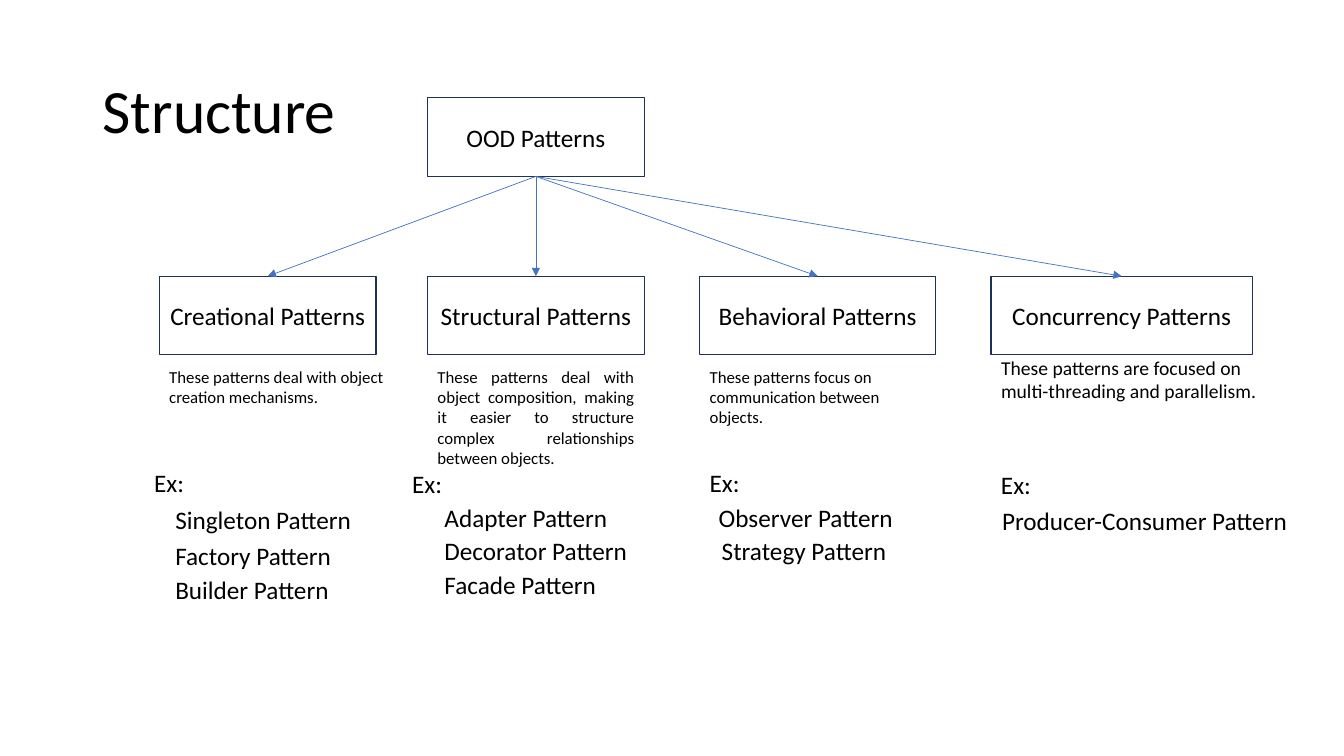
from dataclasses import dataclass

from lxml.etree import SubElement
from pptx import Presentation
from pptx.dml.color import RGBColor
from pptx.enum.shapes import MSO_CONNECTOR as Connector, MSO_SHAPE as Preset
from pptx.enum.text import MSO_ANCHOR as Anchor, PP_ALIGN as Align
from pptx.oxml.ns import qn
from pptx.util import Pt

PX = 9144
BLACK = "000000"
NAVY = "1E3256"
BLUE = "4472C4"
BOX_HEIGHT = 78
ROOT_TOP = 97
FAMILY_TOP = 274


@dataclass
class Family:
    name: str
    left: int
    width: int
    note: str
    note_box: tuple
    example_label: tuple
    examples: list
    note_size: int = 12
    note_align: Align = Align.LEFT


FAMILIES = [
    Family("Creational Patterns", 158, 215,
           "These patterns deal with object creation mechanisms.",
           (359, 233, 50), (143, 459),
           [("Singleton Pattern", 164, 495), ("Factory Pattern", 164, 531),
            ("Builder Pattern", 164, 565)]),
    Family("Structural Patterns", 424, 215,
           "These patterns deal with object composition, making it easier "
           "to structure complex relationships between objects.",
           (359, 215, 111), (399, 460),
           [("Adapter Pattern", 431, 493), ("Decorator Pattern", 431, 526),
            ("Facade Pattern", 431, 560)],
           note_align=Align.JUSTIFY),
    Family("Behavioral Patterns", 694, 234,
           "These patterns focus on communication between objects.",
           (359, 241, 71), (694, 459),
           [("Observer Pattern", 703, 493), ("Strategy Pattern", 706, 526)]),
    Family("Concurrency Patterns", 983, 259,
           "These patterns are focused on multi-threading and parallelism.",
           (348, 275, 57), (983, 461),
           [("Producer-Consumer Pattern", 984, 496)], note_size=14),
]


def px(*lengths):
    return [length * PX for length in lengths]


def color(value):
    return RGBColor.from_string(value)


def write(shape, text, size, align, anchor):
    frame = shape.text_frame
    frame.word_wrap = True
    frame.vertical_anchor = anchor
    paragraph = frame.paragraphs[0]
    paragraph.text = text
    paragraph.alignment = align
    paragraph.font.name = "Calibri"
    paragraph.font.size = Pt(size)
    paragraph.font.color.rgb = color(BLACK)
    return paragraph


def add_text(slide, text, left, top, width, height, size=18,
             align=Align.LEFT, anchor=Anchor.TOP):
    shape = slide.shapes.add_textbox(*px(left, top, width, height))
    return write(shape, text, size, align, anchor)


def add_box(slide, text, left, top, width):
    shape = slide.shapes.add_shape(
        Preset.RECTANGLE, *px(left, top, width, BOX_HEIGHT))
    shape.shadow.inherit = False
    shape.fill.background()
    shape.line.color.rgb = color(NAVY)
    shape.line.width = Pt(1)
    write(shape, text, 18, Align.CENTER, Anchor.MIDDLE)
    return shape


def add_arrow(slide, parent, child):
    arrow = slide.shapes.add_connector(Connector.STRAIGHT, 0, 0, 0, 0)
    arrow.begin_connect(parent, 2)
    arrow.end_connect(child, 0)
    arrow.line.color.rgb = color(BLUE)
    arrow.line.width = Pt(0.5)
    SubElement(arrow.line._get_or_add_ln(), qn("a:tailEnd"), type="triangle")
    SubElement(arrow._element.spPr, qn("a:effectLst"))


def add_family(slide, family, root):
    box = add_box(slide, family.name, family.left, FAMILY_TOP, family.width)
    add_arrow(slide, root, box)
    add_text(slide, family.note, family.left, *family.note_box,
             size=family.note_size, align=family.note_align)
    add_text(slide, "Ex:", *family.example_label, 203, 40)
    for example, left, top in family.examples:
        width = 313 if len(example) > 20 else 208
        add_text(slide, example, left, top, width, 40)


def main():
    presentation = Presentation()
    presentation.slide_width, presentation.slide_height = px(1333, 750)
    slide = presentation.slides.add_slide(presentation.slide_layouts[6])
    title = add_text(slide, "Structure", 92, 40, 1150, 145, size=44,
                     anchor=Anchor.MIDDLE)
    title.line_spacing = 0.9
    root = add_box(slide, "OOD Patterns", 424, ROOT_TOP, 215)
    for family in FAMILIES:
        add_family(slide, family, root)
    presentation.save("out.pptx")


if __name__ == "__main__":
    main()
